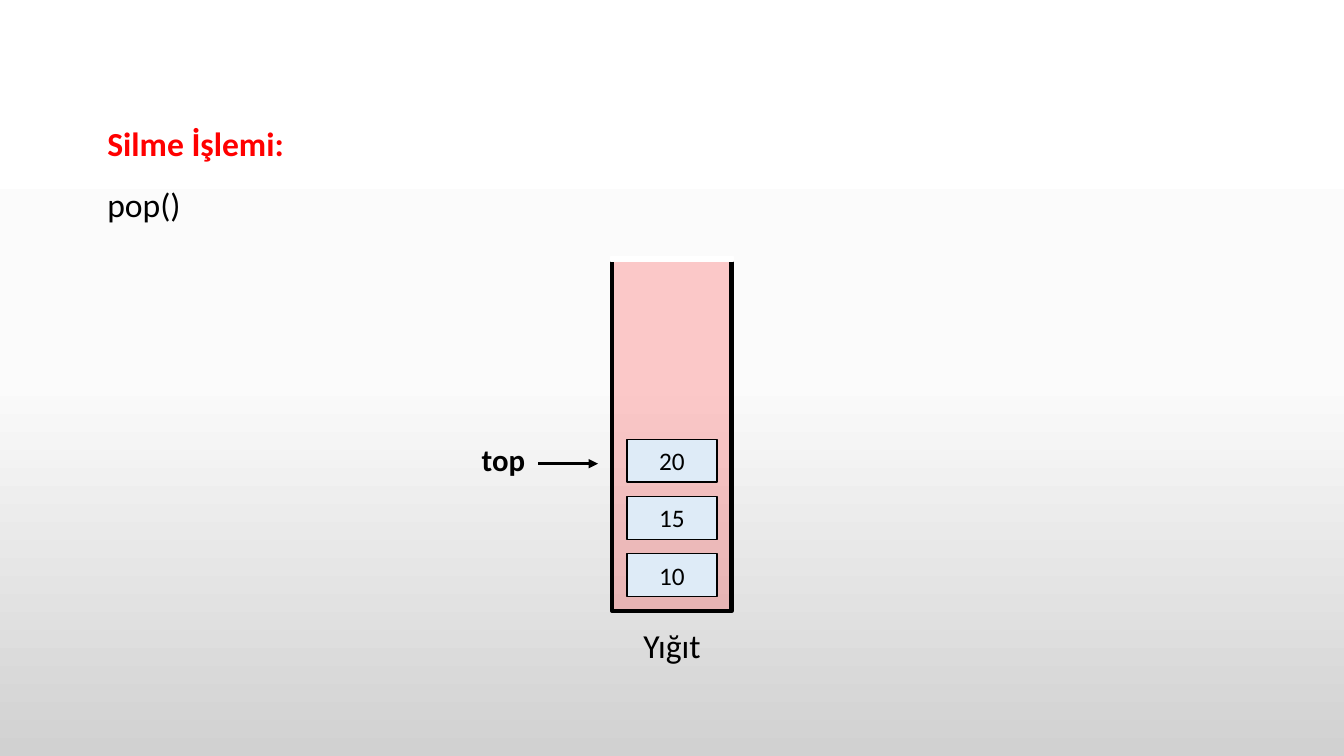
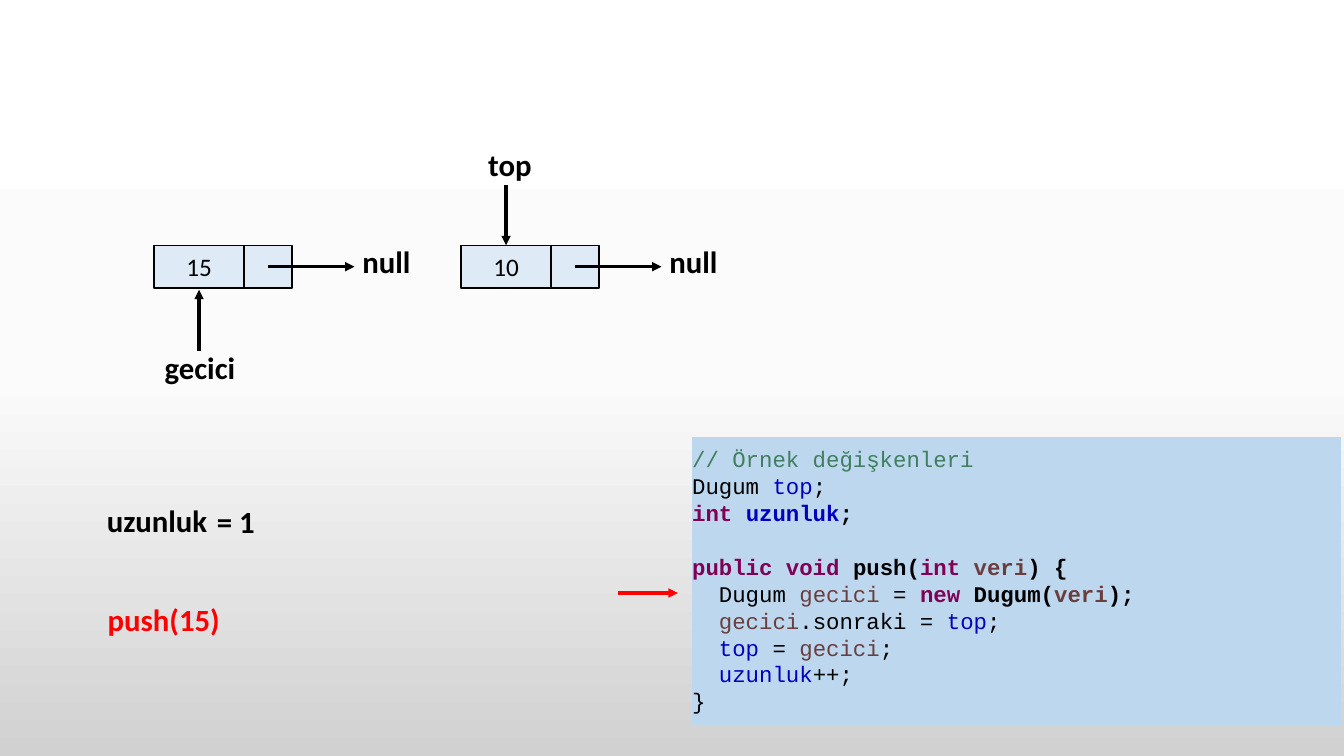
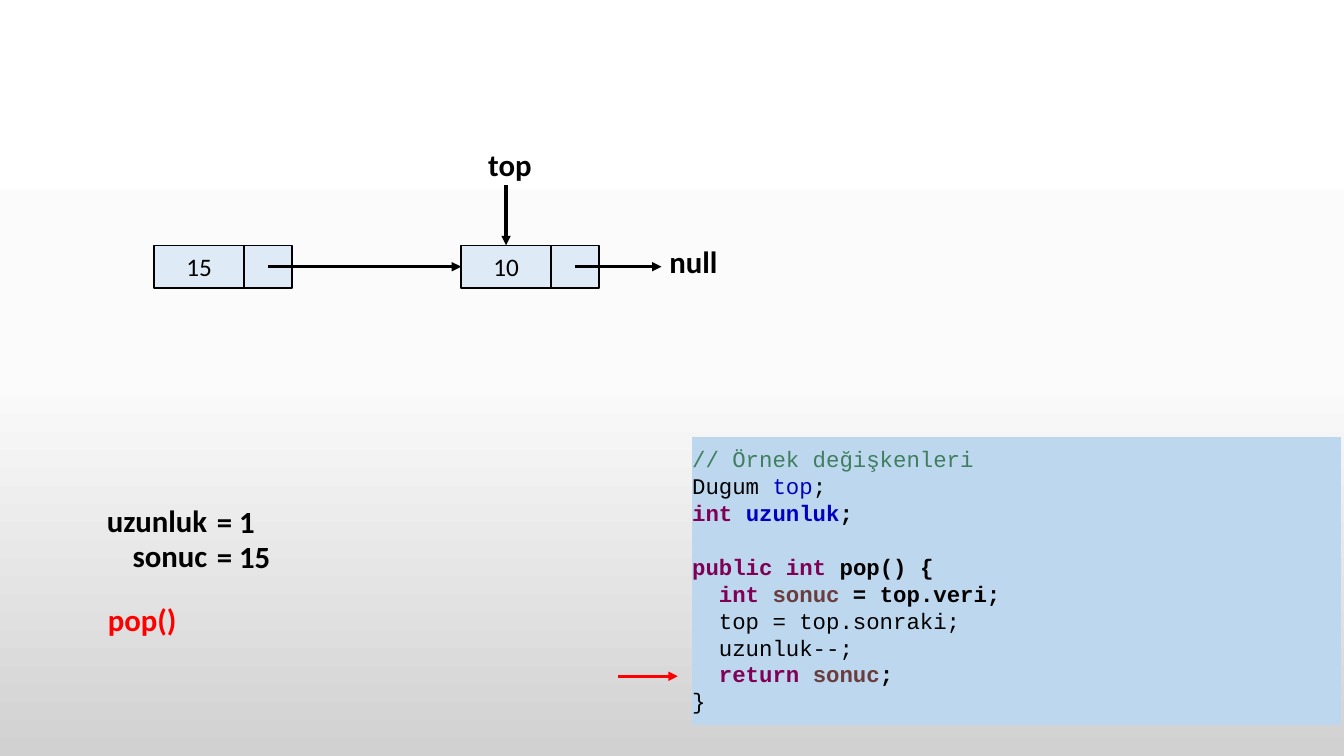
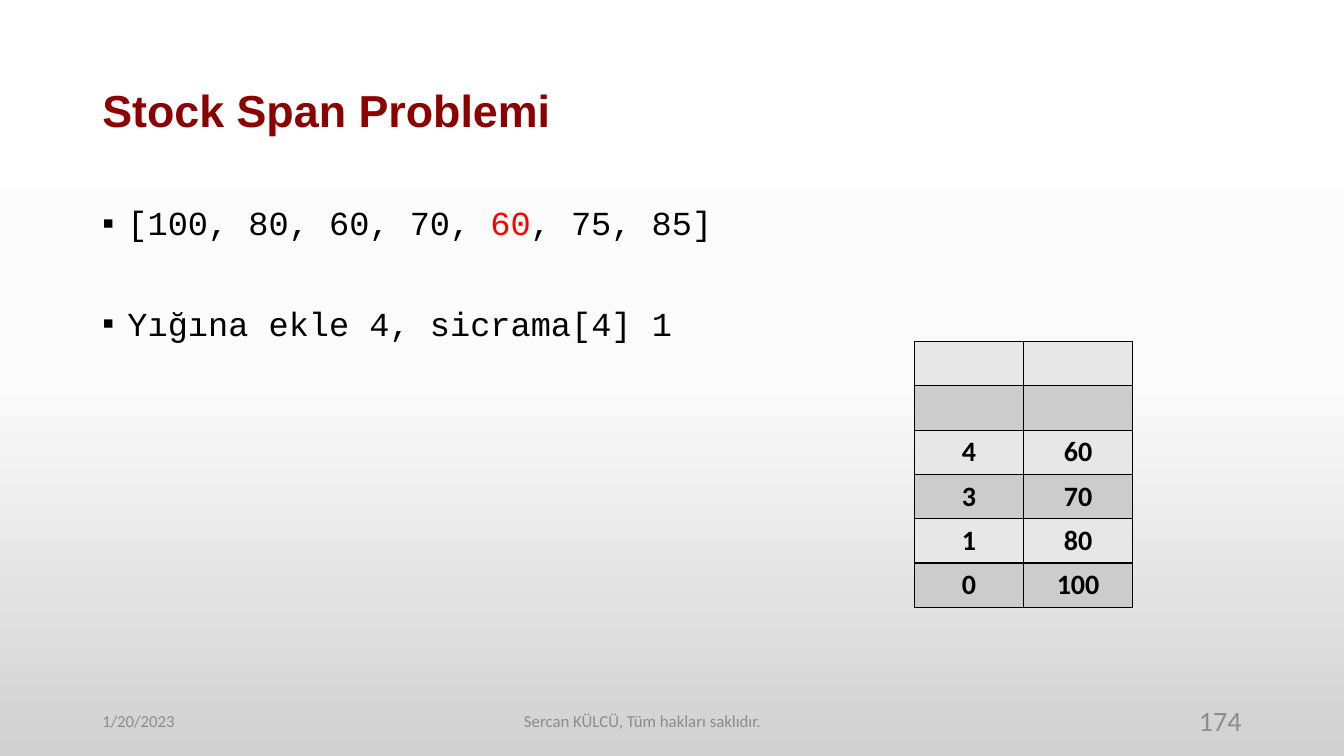
"""Build four slides on stacks: pop, linked push, linked pop and stock span."""
from copy import deepcopy

from lxml import etree
from pptx import Presentation
from pptx.dml.color import RGBColor
from pptx.enum.shapes import MSO_CONNECTOR, MSO_SHAPE
from pptx.enum.text import MSO_ANCHOR, MSO_AUTO_SIZE, PP_ALIGN
from pptx.oxml.ns import qn
from pptx.util import Inches, Pt

LEFT, CENTER, RIGHT = PP_ALIGN.LEFT, PP_ALIGN.CENTER, PP_ALIGN.RIGHT
TOP, MIDDLE = MSO_ANCHOR.TOP, MSO_ANCHOR.MIDDLE
GROW = MSO_AUTO_SIZE.SHAPE_TO_FIT_TEXT
RECT, STRAIGHT = MSO_SHAPE.RECTANGLE, MSO_CONNECTOR.STRAIGHT

BLACK = RGBColor(0x00, 0x00, 0x00)
WHITE = RGBColor(0xFF, 0xFF, 0xFF)
RED = RGBColor(0xFF, 0x00, 0x00)
DARK_RED = RGBColor(0x8C, 0x00, 0x00)
GRAY = RGBColor(0x8C, 0x8C, 0x8C)
NODE_BLUE = RGBColor(0xDE, 0xEB, 0xF7)
CODE_BLUE = RGBColor(0xBD, 0xD7, 0xEE)
COMMENT = RGBColor(0x3F, 0x7F, 0x5F)
KEYWORD = RGBColor(0x7F, 0x00, 0x55)
FIELD = RGBColor(0x00, 0x00, 0xC0)
LOCAL = RGBColor(0x6A, 0x3E, 0x3E)
BANDS = (RGBColor(0xE7, 0xE7, 0xE7), RGBColor(0xCC, 0xCC, 0xCC))
BACKDROP = ((0, WHITE), (0.5, RGBColor(0xFB, 0xFB, 0xFB)), (1, RGBColor(0xD1, 0xD1, 0xD1)))

COLS, ROWS = 160, 90
prs = Presentation()
prs.slide_width, prs.slide_height = Inches(40 / 3), Inches(7.5)
U = prs.slide_height / ROWS
blank = prs.slide_layouts[6]

fill = prs.slide_master.background.fill
fill.gradient()
fill.gradient_angle = 270
stops = prs.slide_master.element.find(".//" + qn("a:gsLst"))
stops.append(deepcopy(stops[0]))
for stop, (position, color) in zip(fill.gradient_stops, BACKDROP):
    stop.position = position
    stop.color.rgb = color


def box(s, x, y, w, h, text=(), size=22, color=BLACK, bold=False, align=CENTER,
        font="Calibri", fill=None, edge=None, edge_width=1, wrap=True, anchor=MIDDLE):
    at = [int(v * U) for v in (x, y, w, h)]
    if fill is None:
        sp = s.shapes.add_textbox(*at)
    else:
        sp = s.shapes.add_shape(RECT, *at)
        sp.shadow.inherit = False
        sp.fill.solid()
        sp.fill.fore_color.rgb = fill
        if edge is None:
            sp.line.fill.background()
        else:
            sp.line.color.rgb = edge
            sp.line.width = Pt(edge_width)
    tf = sp.text_frame
    tf.word_wrap = wrap
    tf.vertical_anchor = anchor
    if not wrap:
        tf.auto_size = GROW
    lines = [[(t, color, bold)] for t in text.split("\n")] if isinstance(text, str) else text
    for i, runs in enumerate(lines):
        p = tf.add_paragraph() if i else tf.paragraphs[0]
        p.alignment = align
        for run_text, run_color, run_bold in runs:
            r = p.add_run()
            r.text = run_text
            r.font.name, r.font.size, r.font.bold = font, Pt(size), run_bold
            r.font.color.rgb = run_color
    return sp


def arrow(s, x1, y1, x2, y2, color=BLACK):
    cn = s.shapes.add_connector(STRAIGHT, *[int(v * U) for v in (x1, y1, x2, y2)])
    cn.line.color.rgb = color
    cn.line.width = Pt(2.25)
    etree.SubElement(cn.line._get_or_add_ln(), qn("a:tailEnd"), type="triangle")
    etree.SubElement(cn.element.spPr, qn("a:effectLst"))


LABEL_H = 5.6
NODE_W, NODE_H = 10.7, 5.1

s = prs.slides.add_slide(blank)
arrow(s, 64.1, 55.2, 71.2, 55.2)
box(s, 56, 51.9, 7.7, LABEL_H, "top", bold=True, align=RIGHT, wrap=False)
sp = box(s, 11.6, 11.6, 23.6, 15.7, [[("Silme İşlemi:", RED, True)], [("pop()", BLACK, False)]],
         size=24, align=LEFT, wrap=False)
for p in sp.text_frame.paragraphs:
    p.line_spacing = 1.5
stack = box(s, 72.9, 30.85, 14.2, 41.9, fill=RED, edge=BLACK, edge_width=3)
tint = stack.element.spPr.find(qn("a:solidFill"))[0]
etree.SubElement(tint, qn("a:alpha"), val="20000")
box(s, 72.7, 30.6, 14.6, 0.5, fill=WHITE, edge=WHITE)
box(s, 75.3, 73.8, 9.4, 6, "Yığıt", size=24, wrap=False)
for i, value in enumerate(("20", "15", "10")):
    box(s, (COLS - NODE_W) / 2, 52.3 + 6.8 * i, NODE_W, NODE_H, value, size=18,
        fill=NODE_BLUE, edge=BLACK)

FIELDS = [
    [("// Örnek değişkenleri", COMMENT, False)],
    [("Dugum ", BLACK, False), ("top", FIELD, False), (";", BLACK, False)],
    [("int ", KEYWORD, True), ("uzunluk", FIELD, True), (";", BLACK, True)],
]
PUSH = [
    [("public void ", KEYWORD, True), ("push(", BLACK, True), ("int ", KEYWORD, True),
     ("veri", LOCAL, True), (") {", BLACK, True)],
    [("  Dugum ", BLACK, False), ("gecici", LOCAL, False), (" = ", BLACK, False),
     ("new ", KEYWORD, True), ("Dugum(", BLACK, True), ("veri", LOCAL, True), (");", BLACK, True)],
    [("  gecici", LOCAL, False), (".sonraki = ", BLACK, False), ("top", FIELD, False),
     (";", BLACK, False)],
    [("  top ", FIELD, False), ("= ", BLACK, False), ("gecici", LOCAL, False),
     (";", BLACK, False)],
    [("  uzunluk", FIELD, False), ("++;", BLACK, False)],
    [("}", BLACK, False)],
]
POP = [
    [("public int", KEYWORD, True), (" pop() {", BLACK, True)],
    [("  int ", KEYWORD, True), ("sonuc", LOCAL, True), (" = top.veri;", BLACK, True)],
    [("  top = top.sonraki;", BLACK, False)],
    [("  uzunluk--;", BLACK, False)],
    [("  return ", KEYWORD, True), ("sonuc", LOCAL, True), (";", BLACK, True)],
    [("}", BLACK, False)],
]
LENGTH = ("uzunluk", 14.4, "= 1", 7)
RESULT = ("sonuc", 11.4, "= 15", 8.9)
STEPS = (
    ("push(15)", 15.8, PUSH, 70.6, [LENGTH], False),
    ("pop()", 10.7, POP, 80.5, [LENGTH, RESULT], True),
)
NODE_XS, NODE_Y, LINK_W = (18.35, 54.9), 29.2, 5.7
LINK_Y = NODE_Y + NODE_H / 2
CODE_LINE = Pt(19.2)

for call, call_w, method, step_y, variables, linked in STEPS:
    s = prs.slides.add_slide(blank)
    for i, (name, name_w, value, value_w) in enumerate(variables):
        y = 59.1 + 4.15 * i
        box(s, 25.85 - name_w, y, name_w, LABEL_H, name, bold=True, align=RIGHT, wrap=False)
        box(s, 24.65, y + 0.15, value_w, LABEL_H, value, bold=True, align=LEFT, wrap=False)
    box(s, 11.65, 70.9, call_w, LABEL_H, call, color=RED, bold=True, align=LEFT, wrap=False)
    arrow(s, 73.6, step_y, 80.7, step_y, RED)

    for x, value, joins_next in zip(NODE_XS, ("15", "10"), (linked, False)):
        box(s, x, NODE_Y, NODE_W, NODE_H, value, size=18, fill=NODE_BLUE, edge=BLACK)
        box(s, x + NODE_W, NODE_Y, LINK_W, NODE_H, fill=NODE_BLUE, edge=BLACK)
        link_x = x + NODE_W + LINK_W / 2
        arrow(s, link_x, LINK_Y, NODE_XS[1] if joins_next else link_x + 10.3, LINK_Y)
        if not joins_next:
            box(s, x + 23.55, 28.3, 8.2, LABEL_H, "null", bold=True, wrap=False)
    first_x, top_x = [x + NODE_W / 2 for x in NODE_XS]
    arrow(s, top_x, 22, top_x, NODE_Y)
    box(s, top_x + 0.45 - 3.85, 16.7, 7.7, LABEL_H, "top", bold=True, wrap=False)
    if not linked:
        arrow(s, first_x, 41.8, first_x, 34.5)
        box(s, first_x + 0.1 - 5.45, 40.9, 10.9, LABEL_H, "gecici", bold=True, wrap=False)

    sp = box(s, 82.4, 52.05, 77.25, 34.25, FIELDS + method, size=16, align=LEFT,
             font="Courier New", fill=CODE_BLUE, anchor=TOP)
    tf = sp.text_frame
    tf.margin_left = tf.margin_right = 0
    tf.margin_top = tf.margin_bottom = int(U)
    for p in tf.paragraphs:
        p.line_spacing = CODE_LINE
    tf.paragraphs[len(FIELDS)].space_before = CODE_LINE

s = prs.slides.add_slide(blank)
sp = box(s, 11, 4.8, 138, 17.4, "Stock Span Problemi", size=32, color=DARK_RED, bold=True,
         align=LEFT, font="Arial")
sp.text_frame.paragraphs[0].line_spacing = 0.9
sp = box(s, 11, 24, 138, 61.4, [
    [("[100, 80, 60, 70, ", BLACK, False), ("60", RED, False), (", 75, 85]", BLACK, False)],
    [("Yığına ekle 4, sicrama[4] 1", BLACK, False)],
], size=24, align=LEFT, font="Courier New", anchor=TOP)
for p in sp.text_frame.paragraphs:
    pPr = p._p.get_or_add_pPr()
    pPr.set("marL", str(int(3 * U)))
    pPr.set("indent", str(int(-3 * U)))
    etree.SubElement(pPr, qn("a:buFont"), typeface="Arial")
    etree.SubElement(pPr, qn("a:buChar"), char="▪")
    p.line_spacing = 0.9
p.space_before = Pt(46)

for x, w, text, size, align in (
    (11, 36, "1/20/2023", 12, LEFT),
    (31, 91, "Sercan KÜLCÜ, Tüm hakları saklıdır.", 12, CENTER),
    (113, 36, "174", 20, RIGHT),
):
    box(s, x, 83.4, w, 4.8, text, size=size, color=GRAY, align=align)

SPANS = (("", ""), ("", ""), ("4", "60"), ("3", "70"), ("1", "80"), ("0", "100"))
CELL_W, CELL_H = 13, 5.28
at = [int(v * U) for v in (108.85, 40.65, CELL_W * 2, CELL_H * len(SPANS))]
table = s.shapes.add_table(len(SPANS), 2, *at).table
table.first_row = table.horz_banding = False
for i, values in enumerate(SPANS):
    for j, value in enumerate(values):
        cell = table.cell(i, j)
        cell.fill.solid()
        cell.fill.fore_color.rgb = BANDS[i % 2]
        cell.vertical_anchor = MIDDLE
        p = cell.text_frame.paragraphs[0]
        p.text = value
        p.alignment = CENTER
        for r in p.runs:
            r.font.name, r.font.size, r.font.bold = "Calibri", Pt(20), True
            r.font.color.rgb = BLACK
        tcPr = cell._tc.get_or_add_tcPr()
        for k, side in enumerate(("a:lnL", "a:lnR", "a:lnT", "a:lnB")):
            ln = etree.Element(qn(side), w=str(Pt(1)))
            solid = etree.SubElement(ln, qn("a:solidFill"))
            etree.SubElement(solid, qn("a:srgbClr"), val=str(BLACK))
            tcPr.insert(k, ln)

prs.save("out.pptx")
